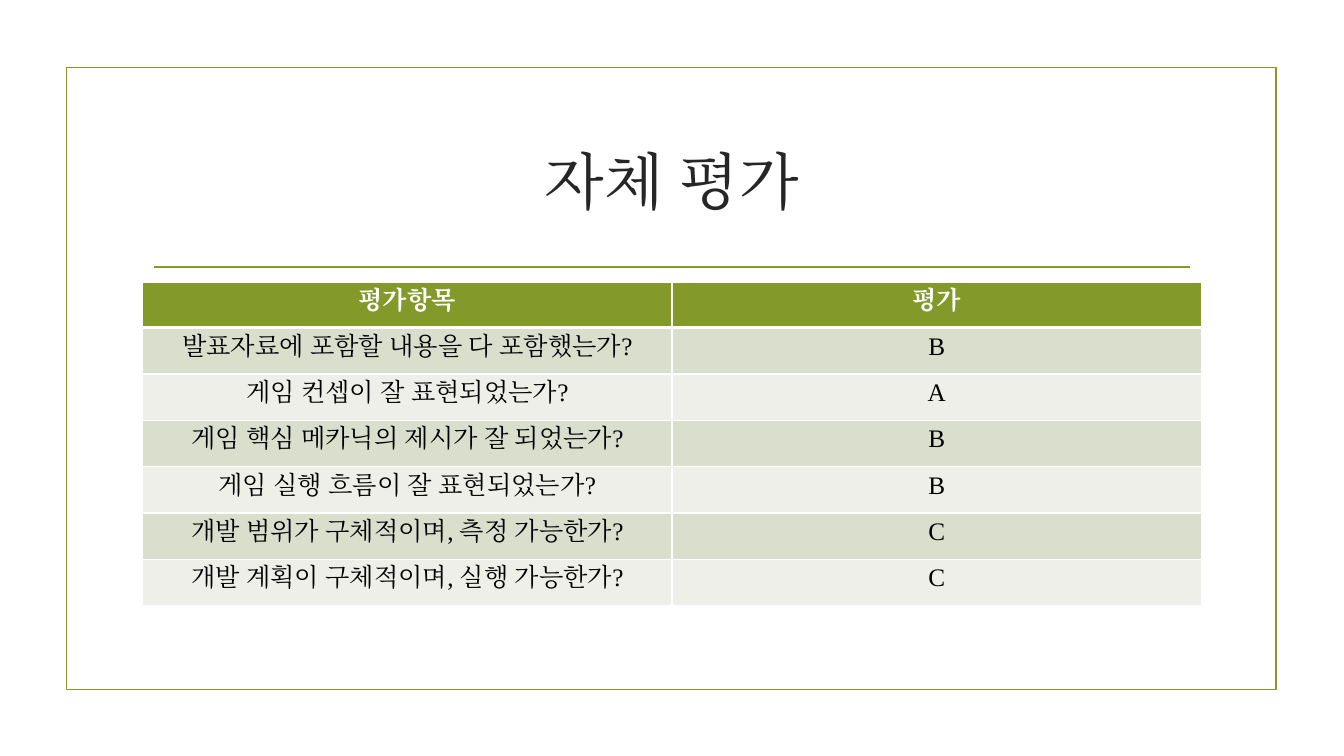
from lxml.etree import SubElement
from pptx import Presentation
from pptx.dml.color import RGBColor
from pptx.enum.shapes import MSO_CONNECTOR as Connector, MSO_SHAPE as Preset
from pptx.enum.text import MSO_ANCHOR as Anchor, PP_ALIGN as Align
from pptx.oxml.ns import qn
from pptx.util import Inches, Pt

# Colours
GREEN = RGBColor(0x83, 0x99, 0x2A)
DARK = RGBColor(0x26, 0x26, 0x26)
BLACK = RGBColor(0x00, 0x00, 0x00)
WHITE = RGBColor(0xFF, 0xFF, 0xFF)
BANDS = (RGBColor(0xD9, 0xDE, 0xCD), RGBColor(0xED, 0xEF, 0xE8))

# Layout in inches: title and table share one content column
WIDTH, HEIGHT = 13.33, 7.5
CONTENT_WIDTH = 10.5
CONTENT_LEFT = (WIDTH - CONTENT_WIDTH) / 2
RULE_INSET = 0.11
HEADER_HEIGHT, ROW_HEIGHT = 0.45, 0.46

FONT = "Times New Roman"
TITLE_FORMAT = {"name": FONT, "size": Pt(44), "bold": False}
HEADER_FORMAT = {"name": FONT, "size": Pt(18), "bold": True}
BODY_FORMAT = {**HEADER_FORMAT, "bold": False}

EVALUATION = [
    ("평가항목", "평가"),
    ("발표자료에 포함할 내용을 다 포함했는가?", "B"),
    ("게임 컨셉이 잘 표현되었는가?", "A"),
    ("게임 핵심 메카닉의 제시가 잘 되었는가?", "B"),
    ("게임 실행 흐름이 잘 표현되었는가?", "B"),
    ("개발 범위가 구체적이며, 측정 가능한가?", "C"),
    ("개발 계획이 구체적이며, 실행 가능한가?", "C"),
]


def write_centred(text_frame, text, font_format, color):
    paragraph = text_frame.paragraphs[0]
    paragraph.alignment = Align.CENTER
    run = paragraph.add_run()
    run.text = text
    for name, value in font_format.items():
        setattr(run.font, name, value)
    run.font.color.rgb = color
    # Korean text takes its typeface from the East Asian font
    SubElement(run._r.get_or_add_rPr(), qn("a:ea"), typeface=FONT)


def style_line(line):
    line.color.rgb = GREEN
    line.width = Pt(1.25)


def add_frame(slide, *box):
    shape = slide.shapes.add_shape(Preset.RECTANGLE, *map(Inches, box))
    shape.shadow.inherit = False
    shape.fill.background()
    style_line(shape.line)


def add_rule(slide, left, right, top):
    ends = map(Inches, (left, top, right, top))
    connector = slide.shapes.add_connector(Connector.STRAIGHT, *ends)
    style_line(connector.line)
    SubElement(connector._element.spPr, qn("a:effectLst"))


def add_title(slide, text, *box):
    text_frame = slide.shapes.add_textbox(*map(Inches, box)).text_frame
    text_frame.word_wrap = True
    text_frame.vertical_anchor = Anchor.MIDDLE
    write_centred(text_frame, text, TITLE_FORMAT, DARK)


def add_borders(cell, top, bottom):
    """Draw white cell edges; top and bottom are widths in points."""
    properties = cell._tc.get_or_add_tcPr()
    for side, points in (("L", 1), ("R", 1), ("T", top), ("B", bottom)):
        edge = SubElement(properties, qn(f"a:ln{side}"), w=str(Pt(points)))
        fill = SubElement(edge, qn("a:solidFill"))
        SubElement(fill, qn("a:srgbClr"), val=str(WHITE))


def add_evaluation_table(slide, rows, left, top, width):
    height = HEADER_HEIGHT + ROW_HEIGHT * (len(rows) - 1)
    box = map(Inches, (left, top, width, height))
    table = slide.shapes.add_table(len(rows), len(rows[0]), *box).table
    for row_index, texts in enumerate(rows):
        is_header = row_index == 0
        table.rows[row_index].height = Inches(HEADER_HEIGHT if is_header else ROW_HEIGHT)
        for column_index, text in enumerate(texts):
            cell = table.cell(row_index, column_index)
            # Borders come before the fill in the cell properties
            add_borders(cell, 3 if row_index == 1 else 1, 3 if is_header else 1)
            cell.fill.solid()
            cell.fill.fore_color.rgb = GREEN if is_header else BANDS[(row_index - 1) % 2]
            write_centred(
                cell.text_frame,
                text,
                HEADER_FORMAT if is_header else BODY_FORMAT,
                WHITE if is_header else BLACK,
            )


def main():
    presentation = Presentation()
    presentation.slide_width = Inches(WIDTH)
    presentation.slide_height = Inches(HEIGHT)
    slide = presentation.slides.add_slide(presentation.slide_layouts[6])

    # Frame and rule under the title
    add_frame(slide, 0.66, 0.67, 12, 6.17)
    content_right = CONTENT_LEFT + CONTENT_WIDTH
    add_rule(slide, CONTENT_LEFT + RULE_INSET, content_right - RULE_INSET, 2.65)

    # Title and evaluation table
    add_title(slide, "자체 평가", CONTENT_LEFT, 1.07, CONTENT_WIDTH, 1.43)
    add_evaluation_table(slide, EVALUATION, CONTENT_LEFT, 2.8, CONTENT_WIDTH)

    presentation.save("out.pptx")


if __name__ == "__main__":
    main()
